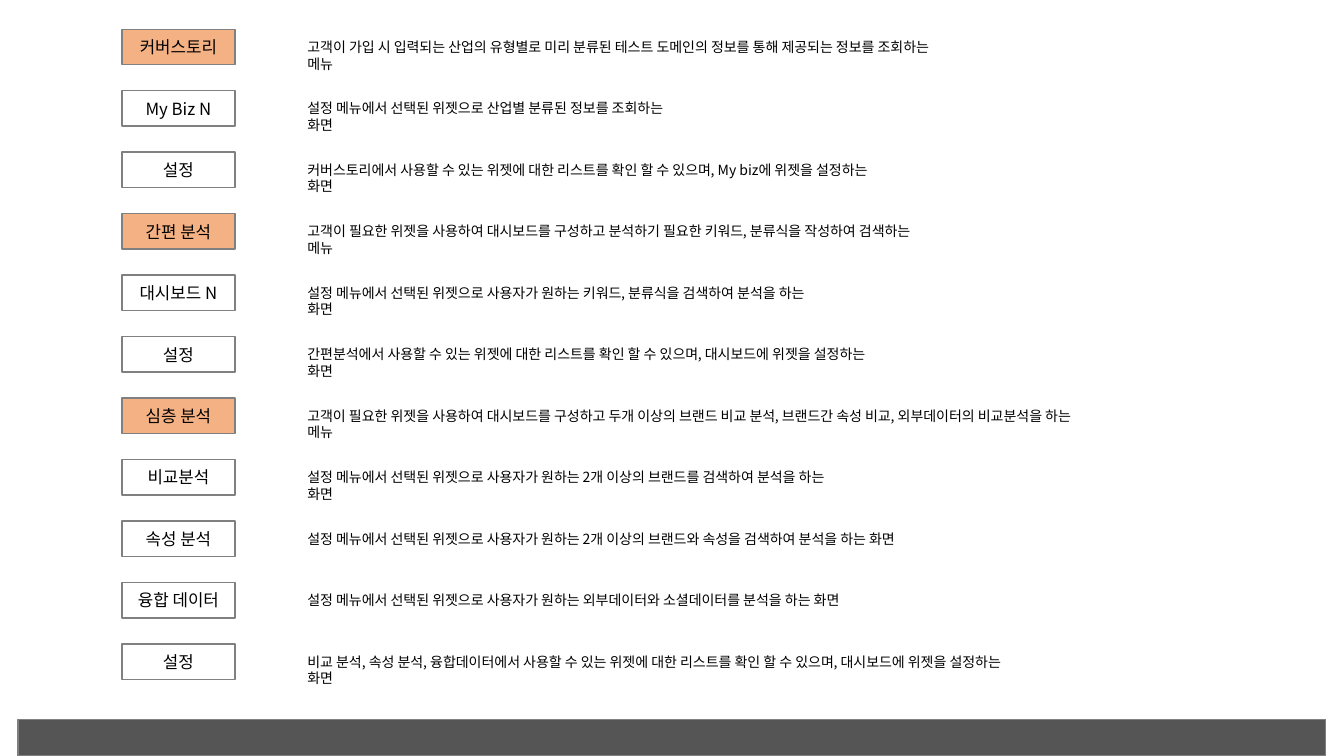
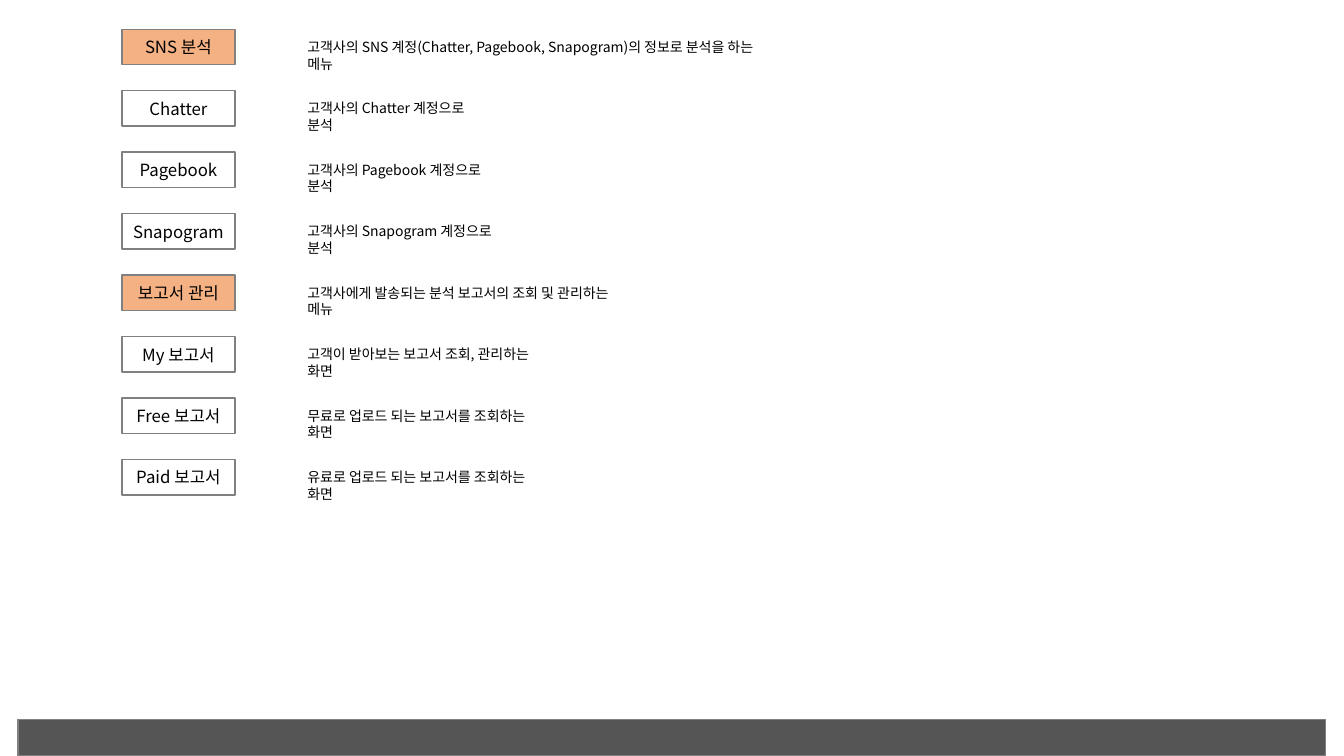
from dataclasses import dataclass

from lxml import etree
from pptx import Presentation
from pptx import util as u
from pptx.dml.color import RGBColor
from pptx.enum import shapes, text
from pptx.oxml.ns import qn

PX = 9144
SLIDE_WIDTH, SLIDE_HEIGHT = 1333, 750
ROW_TOP, ROW_PITCH = 29, 61
LABEL_LEFT, LABEL_WIDTH, LABEL_HEIGHT = 121, 112, 35
NOTE_LEFT, NOTE_DROP, NOTE_HEIGHT = 295, 4, 27


@dataclass(frozen=True)
class Theme:
    font: str = "Noto Sans CJK KR"
    ink: RGBColor = RGBColor(0x00, 0x00, 0x00)
    outline: RGBColor = RGBColor(0x80, 0x80, 0x80)
    band: RGBColor = RGBColor(0x55, 0x55, 0x55)
    section: RGBColor = RGBColor(0xF4, 0xB1, 0x83)
    label_size: int = 12
    note_size: int = 10


THEME = Theme()

SECTION, SCREEN = True, False

ANALYSIS_MENUS = [
    (SECTION, "커버스토리", 652,
     "고객이 가입 시 입력되는 산업의 유형별로 미리 분류된 테스트 도메인의 정보를 통해 제공되는 정보를 조회하는 메뉴"),
    (SCREEN, "My Biz N", 393,
     "설정 메뉴에서 선택된 위젯으로 산업별 분류된 정보를 조회하는 화면"),
    (SCREEN, "설정", 595,
     "커버스토리에서 사용할 수 있는 위젯에 대한 리스트를 확인 할 수 있으며, My biz에 위젯을 설정하는 화면"),
    (SECTION, "간편 분석", 631,
     "고객이 필요한 위젯을 사용하여 대시보드를 구성하고 분석하기 필요한 키워드, 분류식을 작성하여 검색하는 메뉴"),
    (SCREEN, "대시보드 N", 525,
     "설정 메뉴에서 선택된 위젯으로 사용자가 원하는 키워드, 분류식을 검색하여 분석을 하는 화면"),
    (SCREEN, "설정", 591,
     "간편분석에서 사용할 수 있는 위젯에 대한 리스트를 확인 할 수 있으며, 대시보드에 위젯을 설정하는 화면"),
    (SECTION, "심층 분석", 784,
     "고객이 필요한 위젯을 사용하여 대시보드를 구성하고 두개 이상의 브랜드 비교 분석, 브랜드간 속성 비교, 외부데이터의 비교분석을 하는 메뉴"),
    (SCREEN, "비교분석", 550,
     "설정 메뉴에서 선택된 위젯으로 사용자가 원하는 2개 이상의 브랜드를 검색하여 분석을 하는 화면"),
    (SCREEN, "속성 분석", 606,
     "설정 메뉴에서 선택된 위젯으로 사용자가 원하는 2개 이상의 브랜드와 속성을 검색하여 분석을 하는 화면"),
    (SCREEN, "융합 데이터", 550,
     "설정 메뉴에서 선택된 위젯으로 사용자가 원하는 외부데이터와 소셜데이터를 분석을 하는 화면"),
    (SCREEN, "설정", 727,
     "비교 분석, 속성 분석, 융합데이터에서 사용할 수 있는 위젯에 대한 리스트를 확인 할 수 있으며, 대시보드에 위젯을 설정하는 화면"),
]

REPORT_MENUS = [
    (SECTION, "SNS 분석", 466,
     "고객사의 SNS 계정(Chatter, Pagebook, Snapogram)의 정보로 분석을 하는 메뉴"),
    (SCREEN, "Chatter", 200, "고객사의 Chatter 계정으로 분석"),
    (SCREEN, "Pagebook", 218, "고객사의 Pagebook 계정으로 분석"),
    (SCREEN, "Snapogram", 215, "고객사의 Snapogram 계정으로 분석"),
    (SECTION, "보고서 관리", 340,
     "고객사에게 발송되는 분석 보고서의 조회 및 관리하는 메뉴"),
    (SCREEN, "My 보고서", 267, "고객이 받아보는 보고서 조회, 관리하는 화면"),
    (SCREEN, "Free 보고서", 259, "무료로 업로드 되는 보고서를 조회하는 화면"),
    (SCREEN, "Paid 보고서", 259, "유료로 업로드 되는 보고서를 조회하는 화면"),
]


def scaled(*lengths):
    return [length * PX for length in lengths]


def write(shape, words, size):
    para = shape.text_frame.paragraphs[0]
    para.text = words
    para.font.size = u.Pt(size)
    para.font.color.rgb = THEME.ink
    para.font.name = THEME.font
    for properties in shape.element.iter(qn("a:defRPr")):
        etree.SubElement(properties, qn("a:ea"), typeface=THEME.font)
    return para


def add_box(page, left, top, width, height, fill=None):
    box = page.shapes.add_shape(
        shapes.MSO_SHAPE.RECTANGLE, *scaled(left, top, width, height))
    box.shadow.inherit = False
    box.line.color.rgb = THEME.outline
    box.line.width = u.Pt(1)
    if fill is None:
        box.fill.background()
    else:
        box.fill.solid()
        box.fill.fore_color.rgb = fill
    return box


def add_label(page, top, words, is_section):
    box = add_box(page, LABEL_LEFT, top, LABEL_WIDTH, LABEL_HEIGHT,
                  THEME.section if is_section else None)
    box.text_frame.vertical_anchor = text.MSO_ANCHOR.MIDDLE
    para = write(box, words, THEME.label_size)
    para.alignment = text.PP_ALIGN.CENTER


def add_note(page, top, width, words):
    box = page.shapes.add_textbox(*scaled(NOTE_LEFT, top, width, NOTE_HEIGHT))
    box.text_frame.word_wrap = True
    box.text_frame.auto_size = text.MSO_AUTO_SIZE.SHAPE_TO_FIT_TEXT
    write(box, words, THEME.note_size)


def add_menu_page(deck, layout, menus):
    page = deck.slides.add_slide(layout)
    for row, (is_section, label, width, note) in enumerate(menus):
        top = ROW_TOP + row * ROW_PITCH
        add_label(page, top, label, is_section)
        add_note(page, top + NOTE_DROP, width, note)
    return page


def add_master_band(deck, page):
    band = add_box(page, 18, 714, 1297, 36, THEME.band)
    deck.slide_master.shapes.element.append(band.element)


def main():
    deck = Presentation()
    deck.slide_width, deck.slide_height = scaled(SLIDE_WIDTH, SLIDE_HEIGHT)
    layout = deck.slide_layouts.get_by_name("Blank")
    pages = [add_menu_page(deck, layout, menus)
             for menus in (ANALYSIS_MENUS, REPORT_MENUS)]
    add_master_band(deck, pages[0])
    deck.save("out.pptx")


if __name__ == "__main__":
    main()
